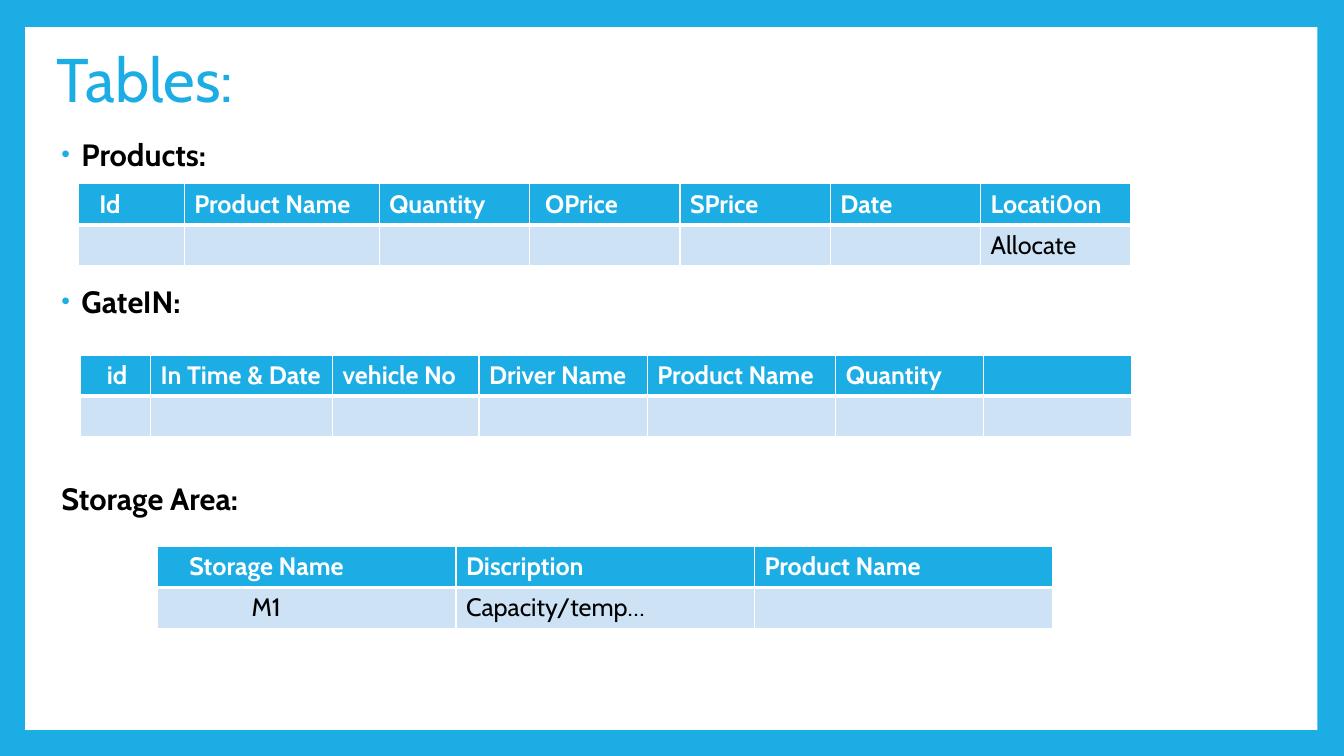
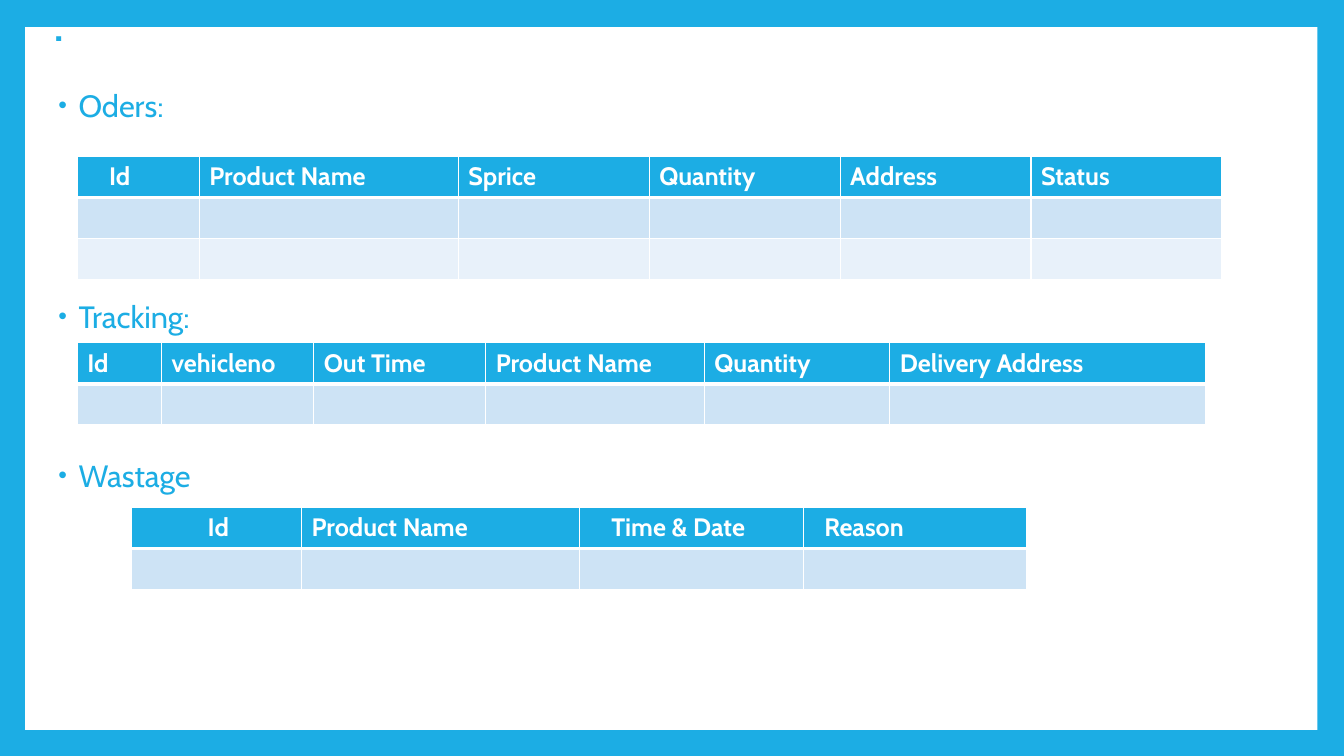
import pptx
import pptx.util
import pptx.dml.color
import pptx.enum.shapes
import pptx.enum.text
import pptx.oxml
import pptx.oxml.ns

Pt = pptx.util.Pt
MIDDLE = pptx.enum.text.MSO_ANCHOR.MIDDLE
FONT = "Cabin"
BLUE, WHITE, BLACK = "1CADE4", "FFFFFF", "000000"
BANDS = ["CDE3F5", "E8F1FA"]
ROW_HEIGHT = 29.3
INSET = 7.2

# A cell is a string, or (string, extra left indent).
# A section is: heading, bulleted, heading centre, table left, table top, columns, rows.
SLIDES = [
    dict(
        title="Tables:", title_size=44, title_box=(33.1, 31, 889.2, 56.2),
        text_left=33.1, heading_color=BLACK, heading_bold=True,
        sections=[
            ("Products:", True, 110, 56, 131.2, [75.6, 139.4] + [107.4] * 5,
             [[("Id", 7.8), "Product Name", "Quantity", ("OPrice", 3.9), "SPrice",
               "Date", "Locati0on"],
              [""] * 6 + ["Allocate"]]),
            ("GateIN:", True, 215, 57.5, 253.6, [50.1, 130, 104.6, 120.2, 134.6, 105.8, 105.8],
             [[("id", 11.7), "In Time & Date", "vehicle No", "Driver Name",
               "Product Name", "Quantity", ""],
              [""] * 7]),
            ("Storage Area:", False, 355.7, 112.5, 390.3, [213.2] * 3,
             [[("Storage Name", 15.6), "Discription", "Product Name"],
              [("M1", 60), "Capacity/temp…", ""]]),
        ]),
    dict(
        title=".\v", title_size=39.6, title_box=(31, 21.6, 870.5, 38.2),
        text_left=31, heading_color=BLUE, heading_bold=False,
        sections=[
            ("Oders:", True, 75, 55.2, 111.8, [87.2, 185] + [136.4] * 4,
             [[("Id", 15.6), "Product Name", "Sprice", "Quantity", "Address", "Status"],
              [""] * 6, [""] * 6]),
            ("Tracking:", True, 225.7, 55.2, 244.8, [60.2, 108.8, 122.8, 156.2, 132.4, 225.4],
             [["Id", "vehicleno", "Out Time", "Product Name", "Quantity", "Delivery Address"],
              [""] * 6]),
            ("Wastage", True, 339.3, 94.2, 362.4, [121.2, 198.6, 159.8, 159.8],
             [[("Id", 47), "Product Name", ("Time & Date", 15.6), ("Reason", 7.8)],
              [""] * 4]),
        ]),
]


def rgb(color):
    return pptx.dml.color.RGBColor.from_string(color)


def box(*lengths):
    return [Pt(v) for v in lengths]


def style(p, size, color, bold=False):
    for f in [p.font] + [r.font for r in p.runs]:
        f.name, f.size, f.bold = FONT, Pt(size), bold
        f.color.rgb = rgb(color)


def add_xml(parent, index, xml):
    ns = pptx.oxml.ns.nsdecls("a")
    parent.insert(index, pptx.oxml.parse_xml(xml.replace(" NS", " " + ns, 1)))


def add_panel(s):
    """White sheet that leaves the blue background as a frame."""
    sp = s.shapes.add_shape(pptx.enum.shapes.MSO_SHAPE.RECTANGLE, *box(18, 19.4, 923, 502))
    sp.shadow.inherit = False
    sp.fill.solid()
    sp.fill.fore_color.rgb = rgb(WHITE)
    sp.line.fill.background()
    s.shapes.title._element.addprevious(sp._element)


def set_title(s, text, size, place):
    sp = s.shapes.title
    sp.left, sp.top, sp.width, sp.height = box(*place)
    tf = sp.text_frame
    tf.text = text
    tf.auto_size = pptx.enum.text.MSO_AUTO_SIZE.NONE
    tf.vertical_anchor = MIDDLE
    p = tf.paragraphs[0]
    p.alignment = pptx.enum.text.PP_ALIGN.LEFT
    p.line_spacing = 0.9
    style(p, size, BLUE)


def add_heading(s, text, bulleted, left, centre, color, bold):
    height = 36
    sp = s.shapes.add_textbox(*box(left, centre - height / 2, 300, height))
    tf = sp.text_frame
    tf.word_wrap = True
    tf.vertical_anchor = MIDDLE
    tf.text = text
    p = tf.paragraphs[0]
    style(p, 22, color, bold)
    pPr = p._p.get_or_add_pPr()
    pPr.set("marL", str(Pt(18 if bulleted else 3.6)))
    if bulleted:
        pPr.set("indent", str(Pt(-14.4)))
        bullet = [f'<a:buClr NS><a:srgbClr val="{BLUE}"/></a:buClr>',
                  '<a:buSzPct NS val="80000"/>',
                  '<a:buFont NS typeface="Arial"/>',
                  '<a:buChar NS char="•"/>']
        for i, xml in enumerate(bullet):
            add_xml(pPr, i, xml)


def set_borders(cell, row):
    top = 3 if row == 1 else 1
    bottom = 3 if row == 0 else 1
    tcPr = cell._tc.get_or_add_tcPr()
    for i, (side, width) in enumerate(zip("LRTB", (1, 1, top, bottom))):
        add_xml(tcPr, i, f'<a:ln{side} NS w="{Pt(width)}"><a:solidFill>'
                         f'<a:srgbClr val="{WHITE}"/></a:solidFill></a:ln{side}>')


def add_table(s, left, top, widths, rows):
    place = box(left, top, sum(widths), ROW_HEIGHT * len(rows))
    table = s.shapes.add_table(len(rows), len(widths), *place).table
    for column, width in zip(table.columns, widths):
        column.width = Pt(width)
    for i, row in enumerate(rows):
        table.rows[i].height = Pt(ROW_HEIGHT)
        header = i == 0
        for j, content in enumerate(row):
            text, indent = (content, 0) if isinstance(content, str) else content
            cell = table.cell(i, j)
            cell.text = text
            cell.margin_left = Pt(INSET + indent)
            cell.fill.solid()
            cell.fill.fore_color.rgb = rgb(BLUE if header else BANDS[(i - 1) % 2])
            style(cell.text_frame.paragraphs[0], 18, WHITE if header else BLACK, header)
            set_borders(cell, i)


def main():
    prs = pptx.Presentation()
    prs.slide_width, prs.slide_height = box(960, 540)
    fill = prs.slide_master.background.fill
    fill.solid()
    fill.fore_color.rgb = rgb(BLUE)
    for d in SLIDES:
        s = prs.slides.add_slide(prs.slide_layouts[5])
        add_panel(s)
        set_title(s, d["title"], d["title_size"], d["title_box"])
        for heading, bulleted, centre, left, top, widths, rows in d["sections"]:
            add_heading(s, heading, bulleted, d["text_left"], centre,
                        d["heading_color"], d["heading_bold"])
            add_table(s, left, top, widths, rows)
    prs.save("out.pptx")


if __name__ == "__main__":
    main()
